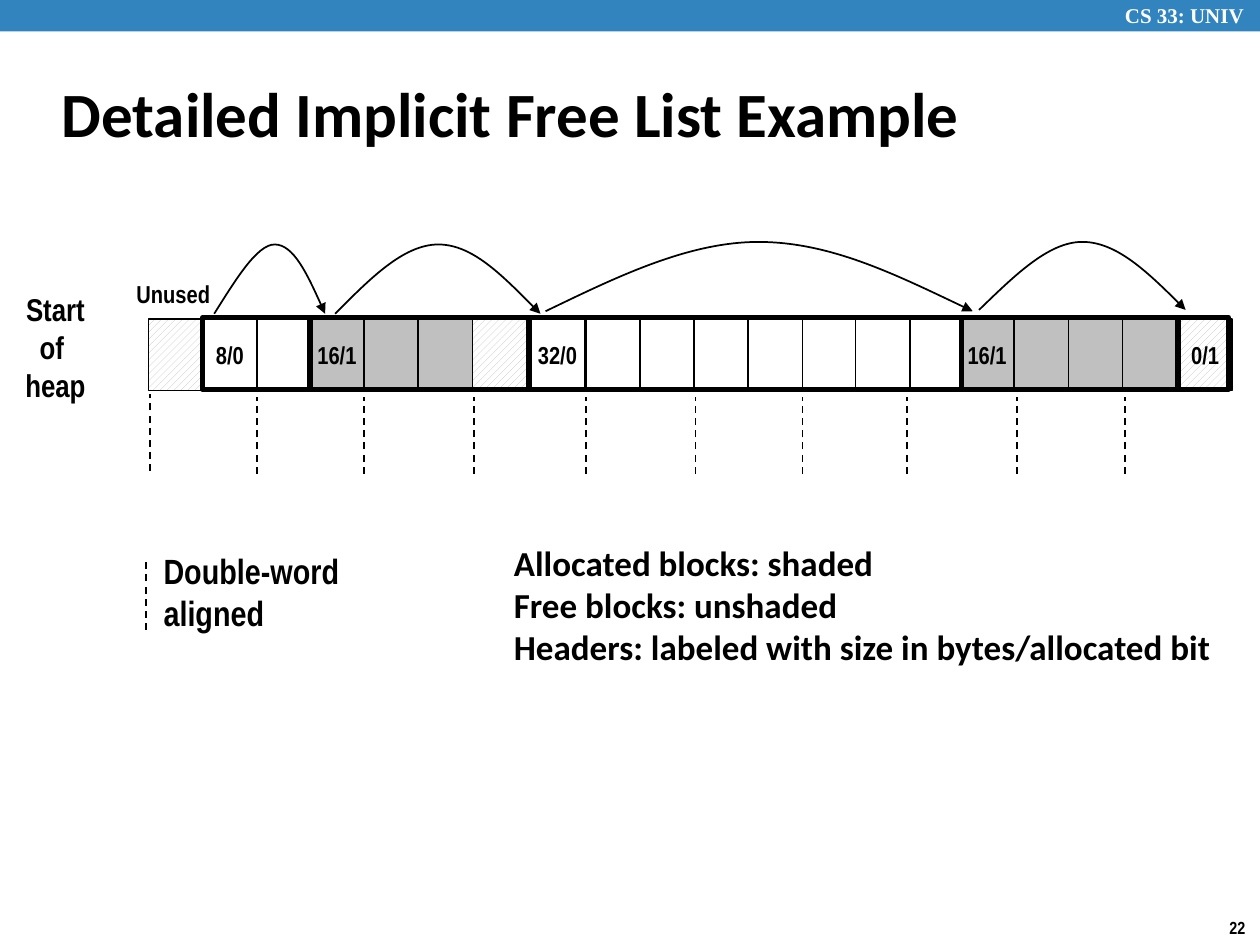
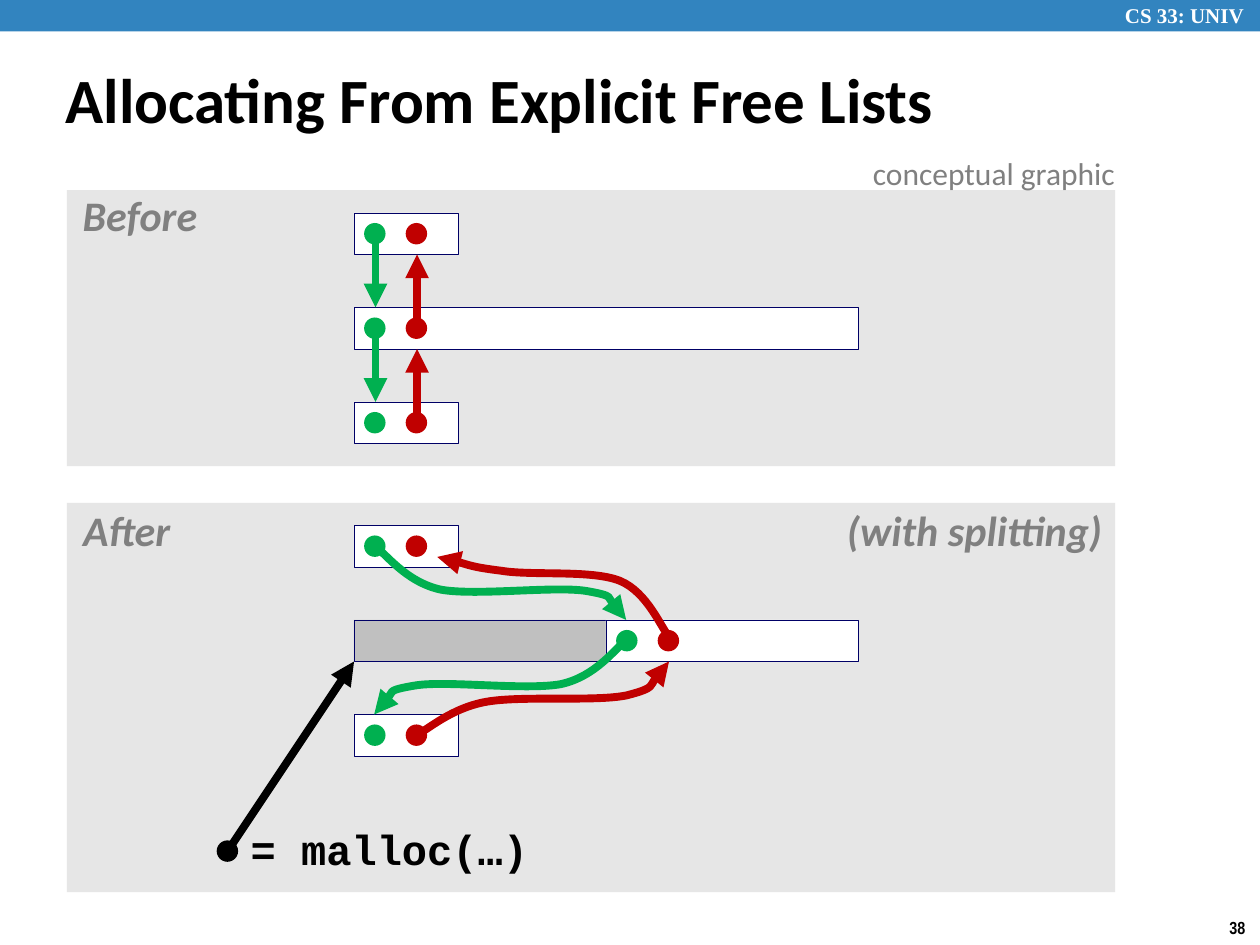
"""Builds two slides on implicit and explicit free lists."""
from dataclasses import dataclass
from itertools import pairwise

from lxml import etree
from pptx import Presentation, util as u
from pptx.dml.color import RGBColor
from pptx.enum import dml, shapes, text
from pptx.oxml.ns import qn

PX = u.Inches(1) // 100


@dataclass(frozen=True)
class Theme:
    """Colours and type styles: size, font, colour, bold, italic."""
    band: str = "3284BF"
    black: str = "000000"
    white: str = "FFFFFF"
    shade: str = "C0C0C0"
    panel: str = "E6E6E6"
    navy: str = "000066"
    green: str = "00B050"
    red: str = "C00000"
    title: tuple = (36, "Calibri", "000000", True, False)
    course: tuple = (12, "Times New Roman", "FFFFFF", True, False)
    number: tuple = (10, "Arial Narrow", "000000", True, False)
    cell: tuple = (14, "Arial Narrow", "000000", True, False)
    heap: tuple = (18, "Arial Narrow", "000000", True, False)
    legend: tuple = (20, "Arial Narrow", "000000", True, False)
    notes: tuple = (20, "Calibri", "000000", True, False)
    panel_label: tuple = (24, "Calibri", "808080", True, True)
    code: tuple = (24, "Courier New", "000000", True, False)
    caption: tuple = (18, "Calibri", "808080", False, False)


def assign(target, **values):
    """Set each named attribute on the target."""
    for name, value in values.items():
        setattr(target, name, value)


class Deck:
    """Holds the presentation, the theme and the current slide."""

    def __init__(self, theme):
        self.theme = theme
        self.presentation = Presentation()
        assign(self.presentation, slide_width=1000 * PX, slide_height=750 * PX)
        self.slide = None

    def new_slide(self, title, box, number, spacing=1.0):
        """Start a slide with the band, course name, number and title."""
        self.slide = self.presentation.slides.add_slide(self.presentation.slide_layouts[5])
        heading = self.slide.shapes.title
        self.place(heading, box)
        self.set_text(heading, [title], self.theme.title, spacing=spacing,
                      auto_size=text.MSO_AUTO_SIZE.NONE, word_wrap=True,
                      vertical_anchor=text.MSO_ANCHOR.MIDDLE)
        self.shape((0, 0, 1000, 25), self.theme.band)
        self.label((883, -3, 124, 30), ["CS 33: UNIV"], self.theme.course, word_wrap=True)
        self.label((966, 723, 34, 27), [str(number)], self.theme.number)

    def place(self, shape, box):
        """Move and size a shape to a box in px."""
        assign(shape, **dict(zip(("left", "top", "width", "height"), (v * PX for v in box))))

    def set_text(self, shape, lines, style, centred=False, spacing=1.0, **frame_format):
        """Fill a shape with one styled paragraph per line."""
        size, font, colour, bold, italic = style
        frame = shape.text_frame
        assign(frame, text="\n".join(lines), **frame_format)
        for paragraph in frame.paragraphs:
            assign(paragraph, line_spacing=spacing,
                   alignment=text.PP_ALIGN.CENTER if centred else text.PP_ALIGN.LEFT)
            for run in paragraph.runs:
                assign(run.font, size=u.Pt(size), name=font, bold=bold, italic=italic)
                run.font.color.rgb = RGBColor.from_string(colour)

    def label(self, box, lines, style, middle=False, **options):
        """Add a text box."""
        anchor = text.MSO_ANCHOR.MIDDLE if middle else text.MSO_ANCHOR.TOP
        values = dict(word_wrap=False, vertical_anchor=anchor,
                      auto_size=text.MSO_AUTO_SIZE.SHAPE_TO_FIT_TEXT) | options
        shape = self.slide.shapes.add_textbox(*(v * PX for v in box))
        self.set_text(shape, lines, style, **values)

    def tight_label(self, box, line, style):
        """Add a centred label with narrow insets."""
        inset = 5 * PX
        self.label(box, [line], style, centred=True, spacing=0.9, margin_left=inset,
                   margin_right=inset, margin_top=inset, margin_bottom=inset)

    def stroke(self, shape, colour, width, arrow=False, dashed=False):
        """Style a line, with an optional arrowhead or dashes."""
        shape.line.color.rgb = RGBColor.from_string(colour)
        shape.line.width = u.Pt(width)
        if dashed:
            shape.line.dash_style = dml.MSO_LINE.DASH
        if arrow:
            line = shape.element.spPr.find(qn("a:ln"))
            etree.SubElement(line, qn("a:tailEnd"), type="triangle")

    def shape(self, box, fill=None, line=None, width=1, kind=shapes.MSO_SHAPE.RECTANGLE):
        """Add a preset shape, plain, hollow or hatched."""
        shape = self.slide.shapes.add_shape(kind, *(v * PX for v in box))
        shape.shadow.inherit = False
        if fill == "hatch":
            shape.fill.patterned()
            shape.fill.pattern = dml.MSO_PATTERN.WIDE_UPWARD_DIAGONAL
            shape.fill.fore_color.rgb = RGBColor.from_string(self.theme.shade)
            shape.fill.back_color.rgb = RGBColor.from_string(self.theme.white)
        elif fill:
            shape.fill.solid()
            shape.fill.fore_color.rgb = RGBColor.from_string(fill)
        else:
            shape.fill.background()
        if line:
            self.stroke(shape, line, width)
        else:
            shape.line.fill.background()
        return shape

    def dot(self, x, y, colour):
        """Add a pointer dot centred on a point."""
        self.shape((x - 9, y - 9, 17, 17), colour, kind=shapes.MSO_SHAPE.OVAL)

    def line(self, start, end, colour, width, **options):
        """Add a straight connector."""
        connector = self.slide.shapes.add_connector(
            shapes.MSO_CONNECTOR.STRAIGHT, *(v * PX for v in start + end))
        self.stroke(connector, colour, width, **options)
        etree.SubElement(connector.element.spPr, qn("a:effectLst"))

    def curve(self, points, colour, width):
        """Add an arrow along cubic curves: a start, then three points for each."""
        builder = self.slide.shapes.build_freeform(*points[0], scale=PX)
        builder.add_line_segments(points[1:], close=False)
        shape = builder.convert_to_shape()
        shape.shadow.inherit = False
        shape.fill.background()
        outline = shape.element.find(".//" + qn("a:path"))
        segments = outline.findall(qn("a:lnTo"))
        for first in range(0, len(segments), 3):
            cubic = etree.SubElement(outline, qn("a:cubicBezTo"))
            for segment in segments[first:first + 3]:
                cubic.append(segment[0])
                outline.remove(segment)
        self.stroke(shape, colour, width, arrow=True)


def implicit_list(deck):
    """Draw the heap as a row of words with block outlines and jumps."""
    theme = deck.theme
    deck.new_slide("Detailed Implicit Free List Example", (39, 48, 830, 83), 22)
    deck.label((8, 225, 72, 101), ["Start ", "of ", "heap"], theme.heap, middle=True, centred=True)
    deck.label((92, 215, 91, 37), ["Unused"], theme.cell, middle=True, centred=True)

    word = 43
    runs = [
        (118, 1, "hatch", ""), (161, 2, theme.white, "8/0"), (246, 3, theme.shade, "16/1"),
        (375, 1, "hatch", ""), (421, 1, theme.white, "32/0"), (465, 5, theme.white, ""),
        (679, 2, theme.white, ""), (762, 4, theme.shade, "16/1"), (935, 1, "hatch", "0/1"),
    ]
    for left, count, fill, header in runs:
        for index in range(count):
            cell = deck.shape((left + index * word, 253, word, 57), fill, theme.black)
            if header and index == 0:
                deck.set_text(cell, [header], theme.cell, centred=True, word_wrap=False,
                              vertical_anchor=text.MSO_ANCHOR.MIDDLE)
    for left, right in pairwise((161, 246, 420, 763, 935, 975)):
        deck.shape((left, 252, right - left, 57), line=theme.black, width=3)

    jumps = [
        ((170, 249), (187, 222), (204, 194), (218, 194), (233, 194), (246, 222), (258, 249)),
        ((266, 249), (293, 222), (320, 194), (348, 194), (375, 194), (402, 222), (429, 249)),
        ((433, 247), (489, 220), (546, 192), (602, 192), (659, 192), (715, 220), (772, 247)),
        ((777, 246), (805, 219), (832, 192), (859, 192), (886, 192), (914, 219), (941, 246)),
    ]
    for jump in jumps:
        deck.curve(jump, theme.black, 1)

    marks = [(119, 374, 61)] + [(x, 376, 61) for x in (204, 289, 376, 465, 552, 637, 720, 807, 893)]
    for x, bottom, length in marks + [(116, 500, 55)]:
        deck.line((x, bottom), (x, bottom - length), theme.black, 1, dashed=True)
    deck.label((120, 431, 204, 77), ["Double-word", "aligned"], theme.legend,
               middle=True, word_wrap=True)
    deck.label((398, 425, 579, 111), [
        "Allocated blocks: shaded", "Free blocks: unshaded",
        "Headers: labeled with size in bytes/allocated bit"], theme.notes)


def explicit_list(deck):
    """Draw the linked free blocks before and after an allocation."""
    theme = deck.theme
    deck.new_slide("Allocating From Explicit Free Lists", (42, 51, 875, 63), 38, spacing=0.87)
    deck.shape((53, 151, 832, 219), theme.panel)
    deck.shape((53, 399, 832, 309), theme.panel)

    left, small, whole, height, pitch = 281, 83, 400, 33, 75
    half, next_x, previous_x, centre = whole // 2, 298, 331, 17
    before = [169 + row * pitch for row in range(3)]
    after = [417 + row * pitch for row in range(3)]
    blocks = [(left, top, small, theme.white) for top in before[::2] + after[::2]]
    blocks += [(left, before[1], whole, theme.white), (left, after[1], half, theme.shade),
               (left + half, after[1], half, theme.white)]
    for x, top, width, fill in blocks:
        deck.shape((x, top, width, height), fill, theme.navy, 0.25)
    for top in before + after:
        shift = half if top == after[1] else 0
        deck.dot(next_x + shift, top + centre, theme.green)
        deck.dot(previous_x + shift, top + centre, theme.red)

    for upper, lower in pairwise(before):
        deck.line((next_x, upper + centre), (next_x, lower), theme.green, 4.5, arrow=True)
        deck.line((previous_x, lower + centre), (previous_x, upper + height),
                  theme.red, 4.5, arrow=True)

    links = [
        (theme.green, ((297, 433), (306, 439), (322, 462), (350, 468), (378, 473),
                       (440, 465), (465, 469), (489, 473), (491, 487), (497, 492))),
        (theme.green, ((497, 508), (489, 514), (473, 537), (445, 543), (417, 548),
                       (354, 540), (330, 544), (305, 548), (304, 562), (297, 567))),
        (theme.red, ((532, 507), (525, 499), (514, 470), (492, 461), (470, 452),
                     (422, 457), (398, 453), (374, 450), (358, 444), (347, 442))),
        (theme.red, ((331, 583), (340, 579), (358, 562), (386, 557), (414, 552),
                     (472, 557), (497, 552), (521, 546), (524, 531), (531, 525))),
    ]
    for colour, points in links:
        deck.curve(points, colour, 4.5)

    deck.dot(181, 676, theme.black)
    deck.line((181, 675), (left, after[1] + height), theme.black, 4.5, arrow=True)
    deck.tight_label((193, 653, 232, 47), "= malloc(…)", theme.code)
    deck.tight_label((60, 150, 102, 47), "Before", theme.panel_label)
    deck.tight_label((60, 400, 81, 47), "After", theme.panel_label)
    deck.tight_label((666, 400, 215, 47), "(with splitting)", theme.panel_label)
    deck.label((683, 117, 217, 40), ["conceptual graphic"], theme.caption)


def main():
    """Build both slides and save them."""
    deck = Deck(Theme())
    implicit_list(deck)
    explicit_list(deck)
    deck.presentation.save("out.pptx")


if __name__ == "__main__":
    main()
